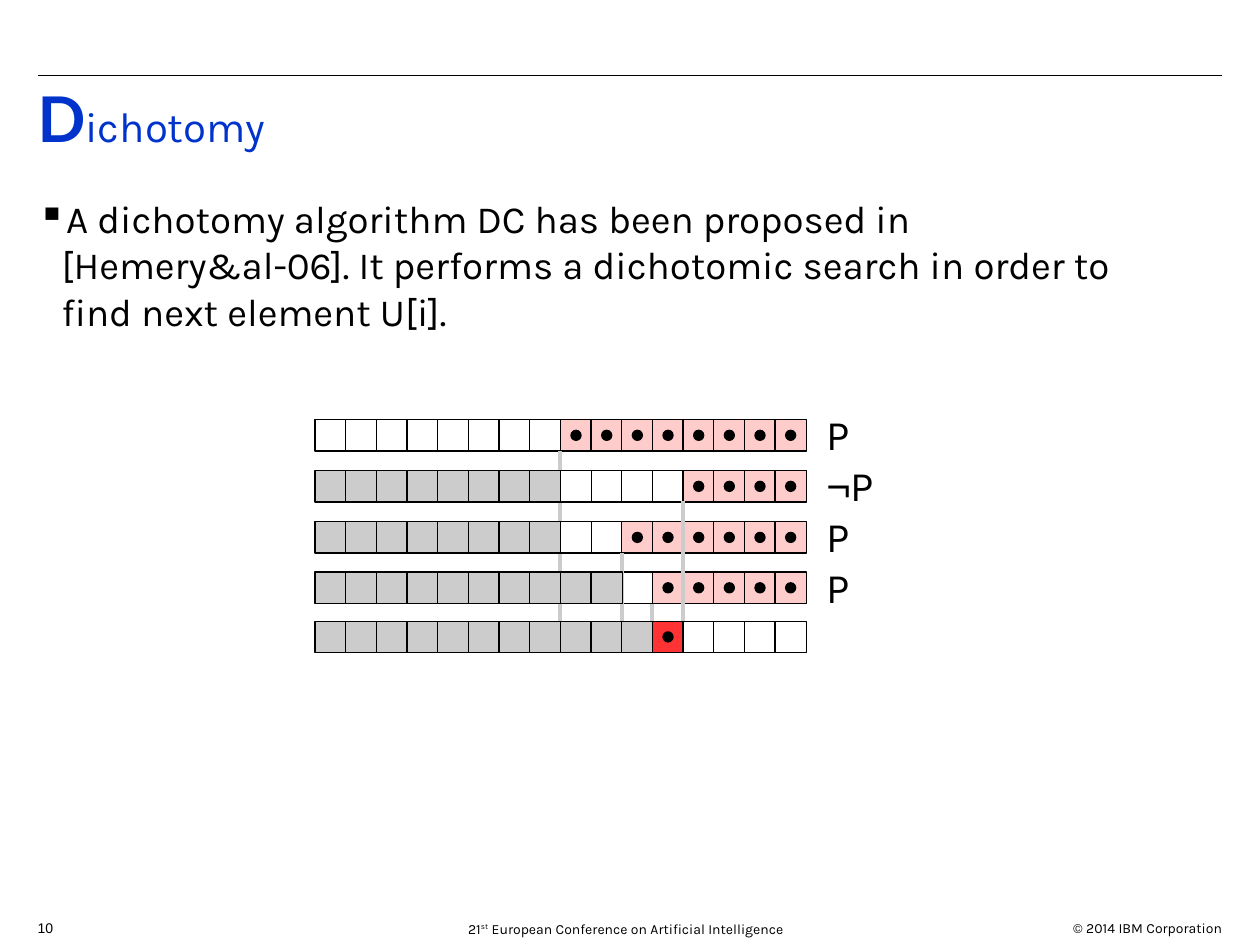
from lxml.etree import SubElement
from pptx import Presentation
from pptx.dml.color import RGBColor as RGB
from pptx.enum.shapes import MSO_CONNECTOR as Connector, MSO_SHAPE as Shape
from pptx.enum.text import MSO_ANCHOR as Anchor, PP_ALIGN as Align
from pptx.oxml.ns import qn
from pptx.util import Inches, Pt

BLACK = RGB(0x00, 0x00, 0x00)
WHITE = RGB(0xFF, 0xFF, 0xFF)
BLUE = RGB(0x00, 0x33, 0xCC)
GREY = RGB(0xCC, 0xCC, 0xCC)
PINK = RGB(0xFF, 0xCC, 0xCC)
RED = RGB(0xFF, 0x33, 0x33)

# Page grid: 100 columns by 75 rows
COLUMNS = 100
CELL_FILLS = {"w": WHITE, "g": GREY, "p": PINK, "r": RED}
DOTTED = "pr"
CELL, DOT = 2.5, 0.8
ARRAY_LEFT, PITCH = 25, 36.5 / 15

# Search steps: top, cells, how many leading cells cover the guides
STEPS = [
    (33.3, "wwwwwwwwpppppppp", 0),
    (37.35, "ggggggggwwwwpppp", 9),
    (41.4, "ggggggggwwpppppp", 9),
    (45.4, "ggggggggggwppppp", 10),
    (49.3, "gggggggggggrwwww", 16),
]
# Outcome beside each step: runs and box width
OUTCOMES = [
    ([("P", {})], 4.8),
    ([("¬", {"font": "Arial"}), ("P", {})], 7.4),
    ([("P", {})], 4.8),
    ([("P", {})], 4.8),
]
# Guides: boundary between cells, top, bottom
GUIDES = [(8, 35.8, 51.8), (12, 39.8, 49.3), (10, 43.9, 49.3), (11, 47.9, 49.3)]


def write(paragraph, text, font="Karla", size=8, color=BLACK, bold=False, raised=False):
    run = paragraph.add_run()
    run.text = text
    run.font.name = font
    run.font.size = Pt(size)
    run.font.color.rgb = color
    run.font.bold = bold
    if raised:
        run._r.get_or_add_rPr().set("baseline", "33000")


class Page:
    def __init__(self, deck):
        self.unit = deck.slide_width / COLUMNS
        self.shapes = deck.slides.add_slide(deck.slide_layouts[6]).shapes

    def grid(self, *lengths):
        return [round(length * self.unit) for length in lengths]

    def text(self, box, runs, size=8, align=Align.LEFT, anchor=Anchor.TOP):
        frame = self.shapes.add_textbox(*self.grid(*box)).text_frame
        frame.word_wrap = True
        frame.vertical_anchor = anchor
        paragraph = frame.paragraphs[0]
        paragraph.alignment = align
        for words, style in runs:
            write(paragraph, words, **{"size": size, **style})
        return paragraph

    def bullet(self, box, words, size):
        paragraph = self.text(box, [(words, {})], size)
        props = paragraph._p.get_or_add_pPr()
        indent = Inches(0.19)
        props.set("marL", str(indent))
        props.set("indent", str(-indent))
        color = SubElement(props, qn("a:buClr"))
        SubElement(color, qn("a:srgbClr"), val=str(BLACK))
        SubElement(props, qn("a:buChar"), char="▪")

    def shape(self, kind, left, top, side, fill):
        part = self.shapes.add_shape(kind, *self.grid(left, top, side, side))
        part.shadow.inherit = False
        part.fill.solid()
        part.fill.fore_color.rgb = fill
        part.line.color.rgb = BLACK
        part.line.width = Pt(0.75)

    def line(self, x1, y1, x2, y2, color, width):
        rule = self.shapes.add_connector(Connector.STRAIGHT, *self.grid(x1, y1, x2, y2))
        rule.line.color.rgb = color
        rule.line.width = Pt(width)
        SubElement(rule._element.spPr, qn("a:effectLst"))

    def cells(self, top, codes, start, stop):
        inset = (CELL - DOT) / 2
        for index in range(start, stop):
            left, code = ARRAY_LEFT + index * PITCH, codes[index]
            self.shape(Shape.RECTANGLE, left, top, CELL, CELL_FILLS[code])
            if code in DOTTED:
                self.shape(Shape.OVAL, left + inset, top + inset, DOT, BLACK)


def main():
    deck = Presentation()
    deck.slide_width, deck.slide_height = Inches(10), Inches(7.5)
    page = Page(deck)

    # Header rule and footer
    page.line(3, 6, 97, 6, BLACK, 0.75)
    page.text((83, 72.5, 15, 2), [("© 2014 IBM Corporation", {})], align=Align.RIGHT)
    conference = [("21", {}), ("st", {"raised": True}),
                  (" European Conference on Artificial Intelligence", {})]
    page.text((32.7, 72.2, 34, 3), conference, align=Align.CENTER, anchor=Anchor.MIDDLE)
    page.text((2, 72.5, 4, 2.3), [("10", {"font": "Arial"})])

    # Title and statement
    title = page.text((2, 6.5, 98, 7), [
        ("D", {"font": "Lato", "size": 36, "color": BLUE, "bold": True}),
        ("ichotomy", {"size": 24, "color": BLUE})])
    title.line_spacing = 0.9
    page.bullet((2, 15, 93, 56),
                "A dichotomy algorithm DC has been proposed in [Hemery&al-06]. "
                "It performs a dichotomic search in order to find next element U[i].", 22)

    # Cells behind the guides
    for top, codes, front in STEPS:
        page.cells(top, codes, front, len(codes))

    # Outcome of each step
    for (top, _, _), (runs, width) in zip(STEPS, OUTCOMES):
        page.text((64.6, top - 1.35, width, 5), runs, size=24)

    # Guides between steps
    for boundary, top, bottom in GUIDES:
        x = ARRAY_LEFT + boundary * PITCH
        page.line(x, top, x, bottom, GREY, 2.3)

    # Cells in front of the guides
    for top, codes, front in STEPS:
        page.cells(top, codes, 0, front)

    deck.save("out.pptx")


if __name__ == "__main__":
    main()
